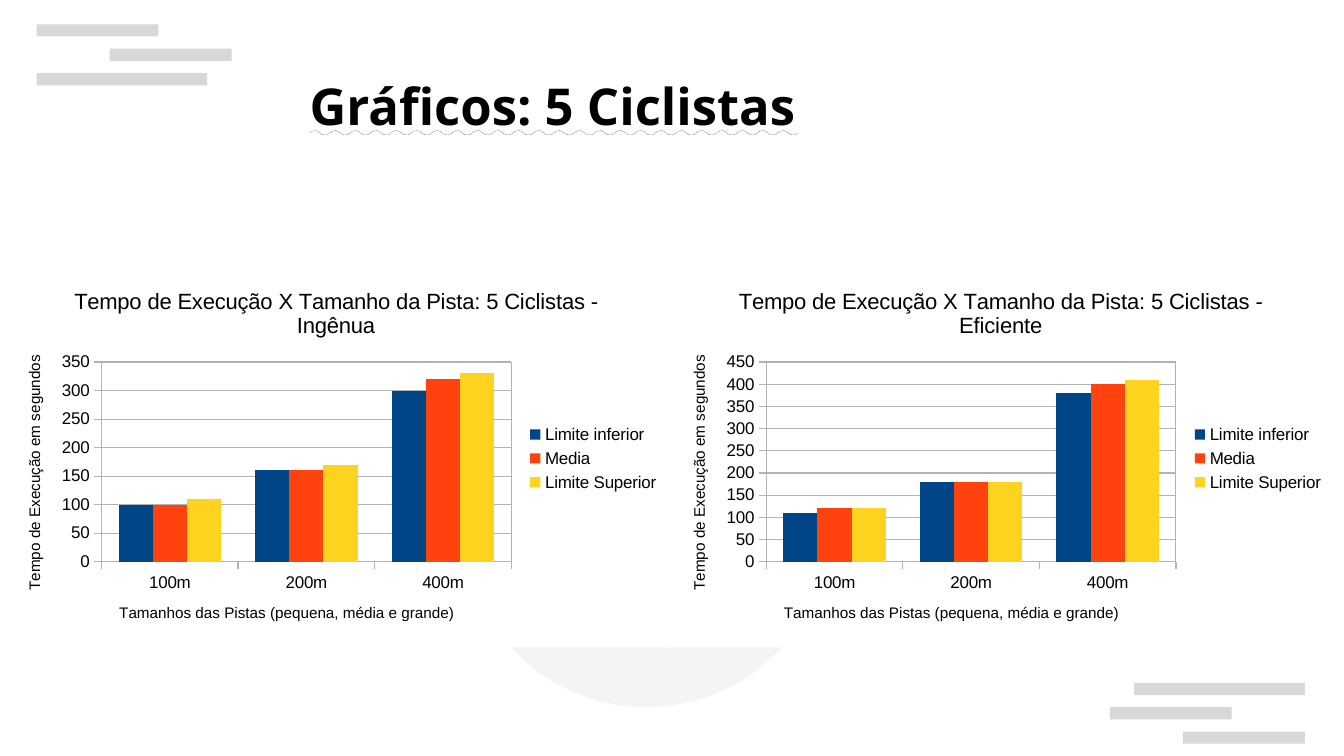
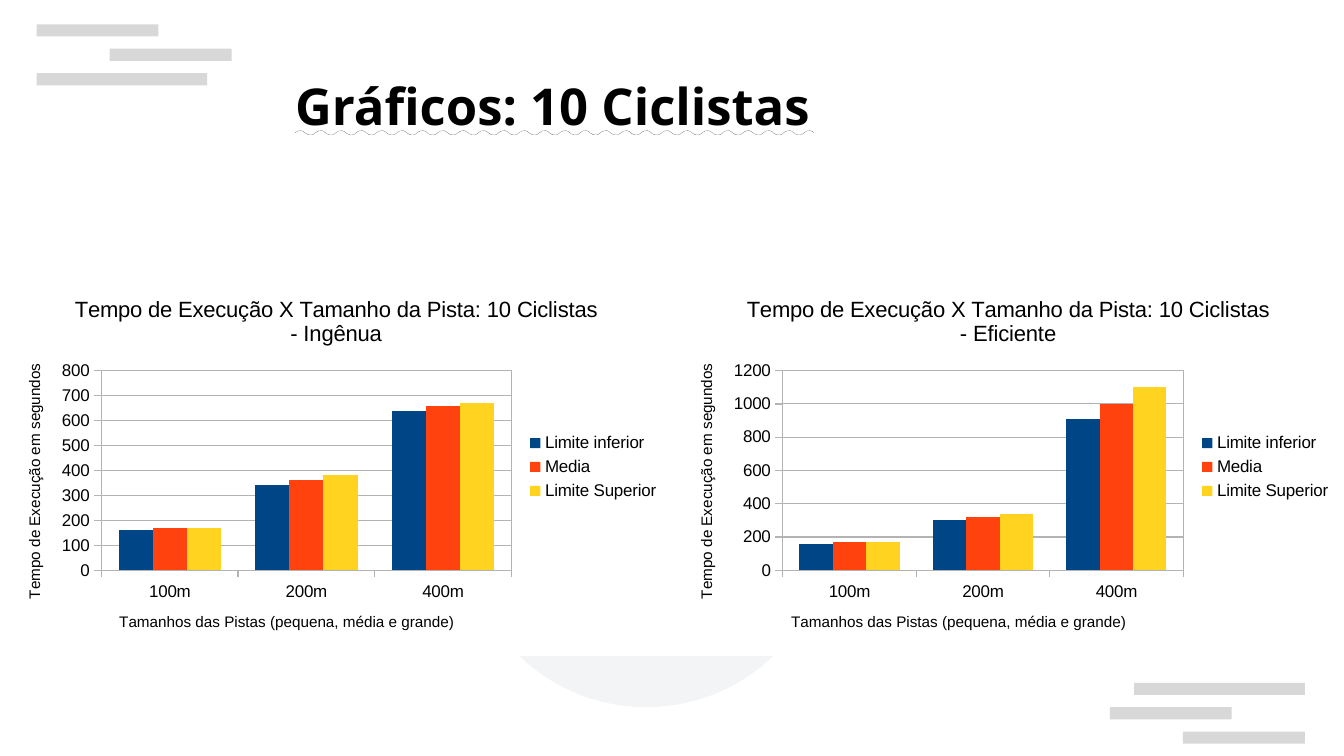
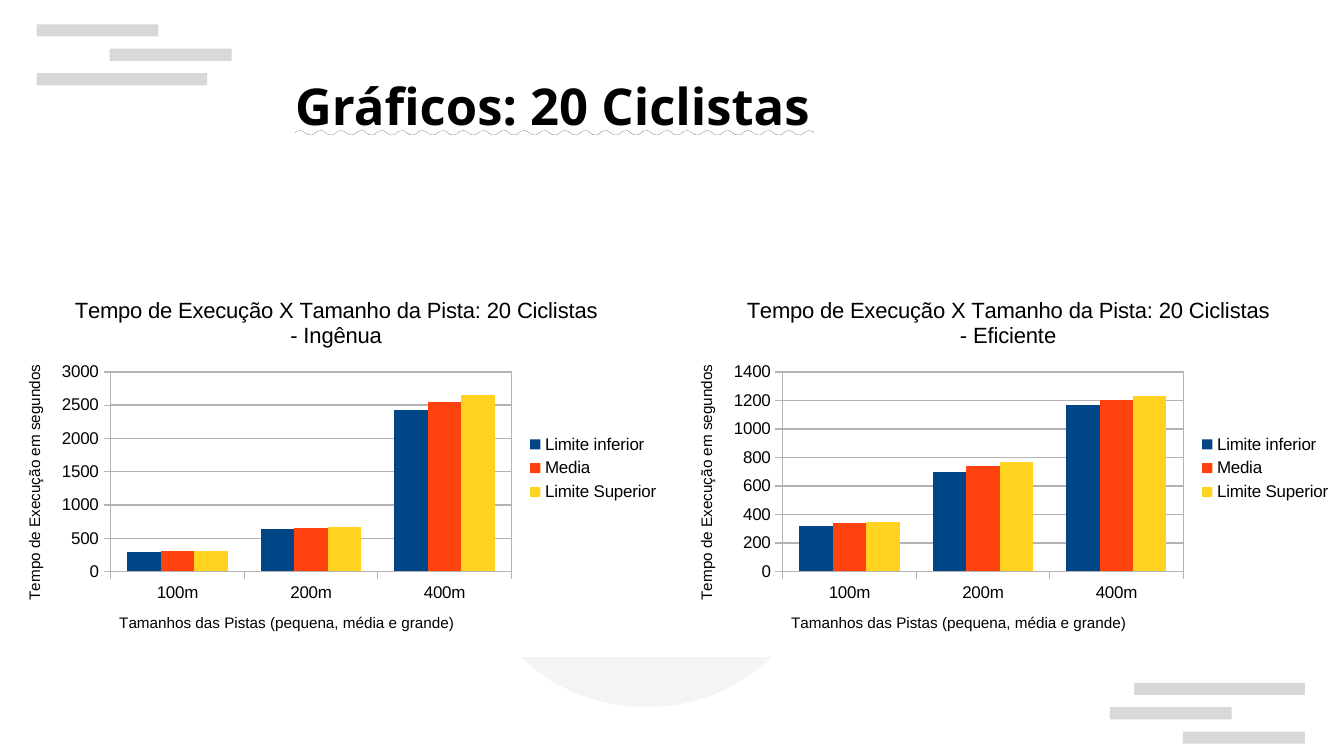
from pptx import Presentation
from pptx.chart.data import CategoryChartData
from pptx.dml.color import RGBColor
from pptx.enum.chart import XL_CHART_TYPE as ChartType, XL_LEGEND_POSITION as LegendSide
from pptx.enum.chart import XL_TICK_MARK as TickMark
from pptx.enum.shapes import MSO_SHAPE as Preset
from pptx.enum.text import MSO_ANCHOR, MSO_UNDERLINE, PP_ALIGN
from pptx.oxml import parse_xml
from pptx.oxml.ns import nsdecls, qn
from pptx.util import Inches, Pt
from lxml import etree

WIDTH, HEIGHT = 11.02, 6.2
CHART_WIDTH, CHART_HEIGHT = WIDTH / 2, HEIGHT / 2
BAR_GRID, BAR_THICKNESS = 0.2, 0.1
TITLE_FONT, CHART_FONT = "Noto Sans", "Arial"

COLORS = {
    "text": "000000",
    "paper": "FFFFFF",
    "bar": "CCCCCC",
    "disc": "8D99AE",
    "grid": "B3B3B3",
    "Limite inferior": "004586",
    "Media": "FF420E",
    "Limite Superior": "FFD320",
}
SERIES = ("Limite inferior", "Media", "Limite Superior")
TRACKS = ("100m", "200m", "400m")
X_TITLE = "Tamanhos das Pistas (pequena, média e grande)"
Y_TITLE = "Tempo de Execução em segundos"

# Left edge, row on the bar grid, length
BARS = (
    (0.3, 1, 1.0), (0.9, 2, 1.0), (0.3, 3, 1.4),
    (9.3, 28, 1.4), (9.1, 29, 1.0), (9.7, 30, 1.0),
)

# Per slide: cyclists, chart top, left edge of the second chart,
# then for each version one row of values per series
SLIDES = (
    (5, 2.21, 5.45, {
        "Ingênua": ((100, 160, 300), (100, 160, 320), (110, 170, 330)),
        "Eficiente": ((110, 180, 380), (120, 180, 400), (120, 180, 410)),
    }),
    (10, 2.28, CHART_WIDTH, {
        "Ingênua": ((160, 340, 640), (170, 360, 660), (170, 380, 670)),
        "Eficiente": ((160, 300, 910), (170, 320, 1000), (170, 340, 1100)),
    }),
    (20, 2.29, CHART_WIDTH, {
        "Ingênua": ((290, 640, 2420), (300, 650, 2540), (310, 670, 2660)),
        "Eficiente": ((320, 700, 1170), (340, 740, 1200), (350, 770, 1230)),
    }),
)


def rgb(name):
    return RGBColor.from_string(COLORS[name])


def style_font(font, size, face=CHART_FONT, bold=False):
    font.name, font.size, font.bold = face, Pt(size), bold
    font.color.rgb = rgb("text")


def add_backdrop_shape(slide, layout, preset, box, color, opacity):
    """Draw a translucent shape and hand it over to the layout."""
    shape = slide.shapes.add_shape(preset, *map(Inches, box))
    shape.shadow.inherit = False
    shape.fill.solid()
    shape.fill.fore_color.rgb = rgb(color)
    shape.line.fill.background()
    tint = shape.element.spPr.find(".//" + qn("a:srgbClr"))
    etree.SubElement(tint, qn("a:alpha")).set("val", str(opacity * 1000))
    layout_tree = layout.shapes.element
    shape.element.nvSpPr.cNvPr.set("id", str(100 + len(layout_tree)))
    layout_tree.append(shape.element)


def add_backdrop(slide, layout):
    for left, row, length in BARS:
        box = (left, row * BAR_GRID, length, BAR_THICKNESS)
        add_backdrop_shape(slide, layout, Preset.RECTANGLE, box, "bar", 75)
    add_backdrop_shape(slide, layout, Preset.OVAL, (3.8, 2.8, 3, 3), "disc", 10)


def set_title(slide, text):
    title = slide.shapes.title
    title.left, title.top, title.width, title.height = map(Inches, (0, 0.34, 9.06, 1.04))
    frame = title.text_frame
    frame.margin_left = frame.margin_top = frame.margin_right = frame.margin_bottom = 0
    frame.vertical_anchor = MSO_ANCHOR.MIDDLE
    frame.text = text
    heading = frame.paragraphs[0]
    heading.alignment = PP_ALIGN.CENTER
    style_font(heading.font, 30, TITLE_FONT, bold=True)
    heading.font.underline = MSO_UNDERLINE.WAVY_LINE


def set_chart_text(owner, text, size):
    """Give a chart or an axis its title."""
    owner.has_title = True
    frame = owner.chart_title.text_frame if hasattr(owner, "chart_title") else owner.axis_title.text_frame
    frame.text = text
    style_font(frame.paragraphs[0].font, size)


def style_line(line):
    line.color.rgb = rgb("grid")
    line.width = 0


def style_axis(axis, title):
    set_chart_text(axis, title, 9)
    style_font(axis.tick_labels.font, 10)
    axis.major_tick_mark = TickMark.OUTSIDE
    axis.minor_tick_mark = TickMark.NONE
    style_line(axis.format.line)


def area_format(fill, line):
    return parse_xml(f'<c:spPr {nsdecls("c", "a")}>{fill}<a:ln w="0">{line}</a:ln></c:spPr>')


def solid(name):
    return f'<a:solidFill><a:srgbClr val="{COLORS[name]}"/></a:solidFill>'


def add_time_chart(slide, left, top, title, rows):
    data = CategoryChartData()
    data.categories = TRACKS
    for name, values in zip(SERIES, rows):
        data.add_series(name, values)
    box = map(Inches, (left, top, CHART_WIDTH, CHART_HEIGHT))
    chart = slide.shapes.add_chart(ChartType.COLUMN_CLUSTERED, *box, data).chart
    style_font(chart.font, 10)
    set_chart_text(chart, title, 13)

    style_axis(chart.category_axis, X_TITLE)
    style_axis(chart.value_axis, Y_TITLE)
    chart.value_axis.has_major_gridlines = True
    style_line(chart.value_axis.major_gridlines.format.line)

    chart.has_legend = True
    chart.legend.position = LegendSide.RIGHT
    chart.legend.include_in_layout = False
    style_font(chart.legend.font, 10)

    plot = chart.plots[0]
    plot.gap_width, plot.overlap, plot.vary_by_categories = 100, 0, False
    for series in plot.series:
        series.format.fill.solid()
        series.format.fill.fore_color.rgb = rgb(series.name)

    chart_node = chart.element.find(qn("c:chart"))
    chart_node.addnext(area_format(solid("paper"), "<a:noFill/>"))
    chart_node.find(qn("c:plotArea")).append(area_format("<a:noFill/>", solid("grid")))


def main():
    deck = Presentation()
    deck.slide_width, deck.slide_height = Inches(WIDTH), Inches(HEIGHT)
    layout = deck.slide_layouts.get_by_name("Title Only")
    for cyclists, top, second_left, versions in SLIDES:
        slide = deck.slides.add_slide(layout)
        if len(deck.slides) == 1:
            add_backdrop(slide, layout)
        set_title(slide, f"Gráficos: {cyclists} Ciclistas")
        for left, (version, rows) in zip((0, second_left), versions.items()):
            title = f"Tempo de Execução X Tamanho da Pista: {cyclists} Ciclistas - {version}"
            add_time_chart(slide, left, top, title, rows)
    deck.save("out.pptx")


if __name__ == "__main__":
    main()
